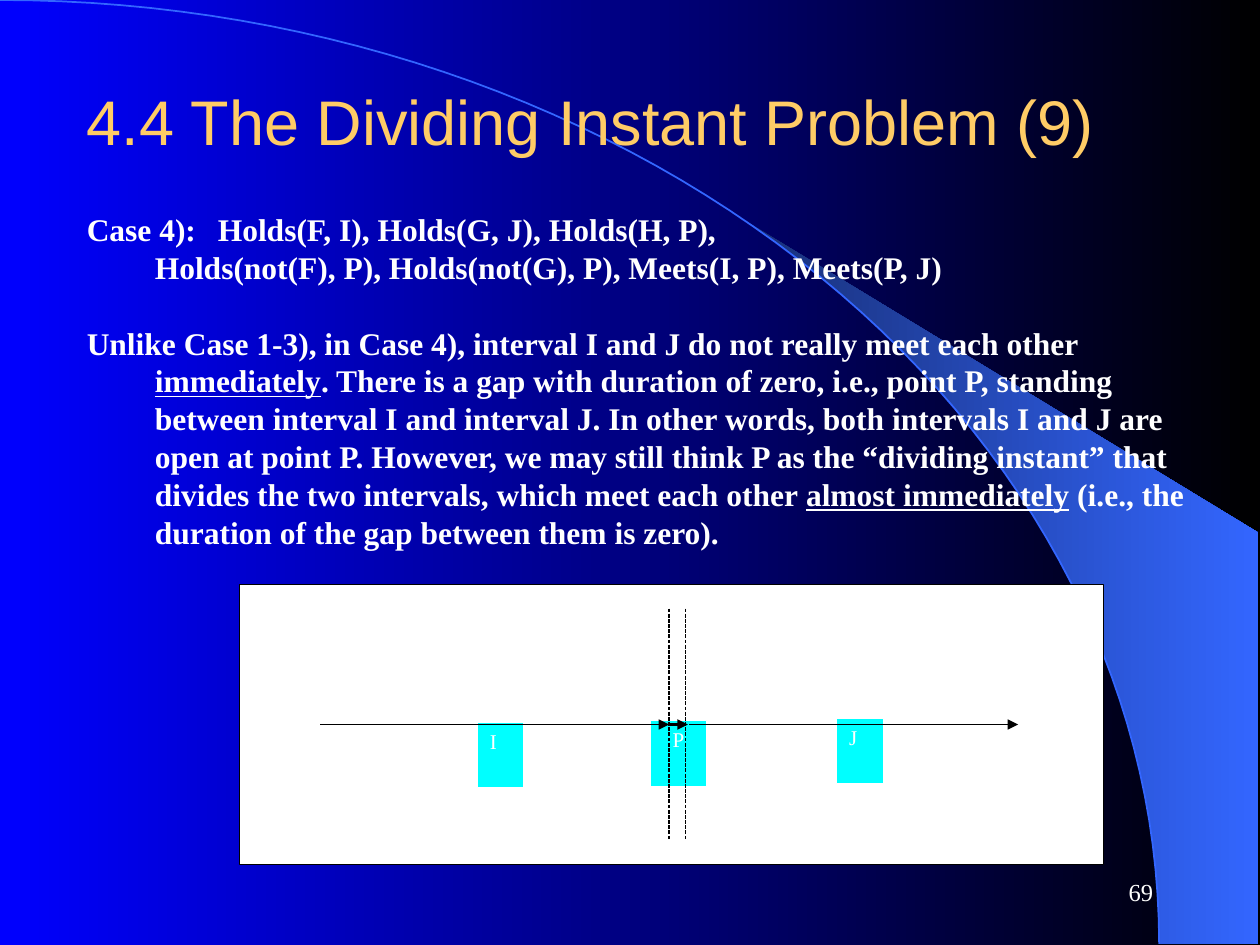
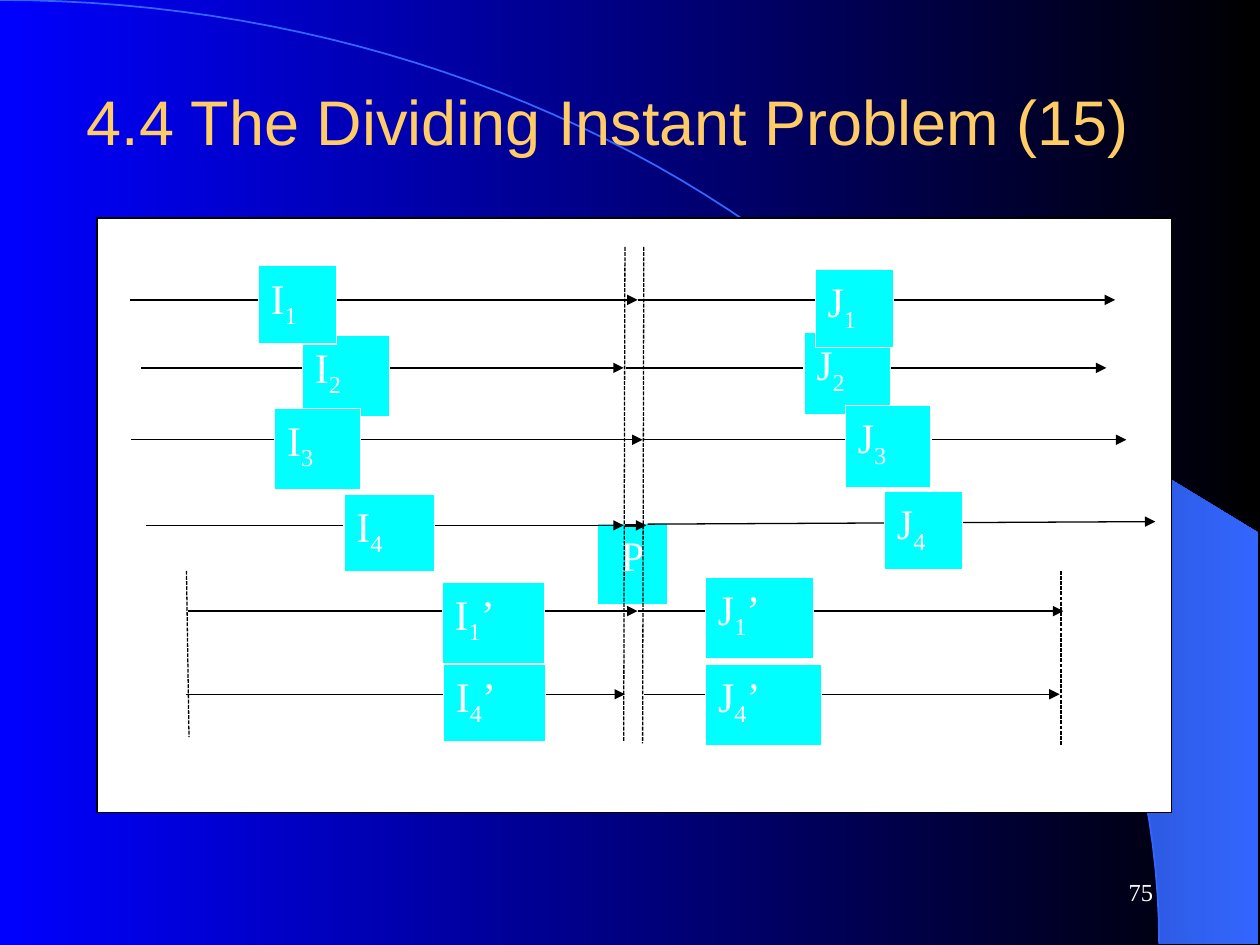
from math import asin, cos, pi, sin

from lxml.etree import SubElement
from pptx import Presentation
from pptx.dml.color import RGBColor
from pptx.enum.dml import MSO_LINE_DASH_STYLE as Dash
from pptx.enum.shapes import MSO_CONNECTOR as Link, MSO_SHAPE as Kind
from pptx.enum.text import MSO_ANCHOR as Anchor, PP_ALIGN as Align
from pptx.oxml.ns import qn
from pptx.util import Inches, Pt

WHITE, BLACK, CYAN, GOLD = "FFFFFF", "000000", "00FFFF", "FFCC66"
BLUE, NAVY, SKY = "0000FF", "182F76", "3366FF"
SERIF, SANS = "Times New Roman", "Arial"
ARC_W, ARC_H = 9.2, 7.49


def color(code):
    """Turn a hex string into a colour."""
    return RGBColor.from_string(code)


def blend(fill, start, end):
    """Give a fill a gradient from left to right."""
    fill.gradient()
    fill.gradient_angle = 0
    for stop, code, place in zip(fill.gradient_stops, (start, end), (0, 1)):
        stop.color.rgb = color(code)
        stop.position = place


def write(para, parts, size=18, font=SERIF, ink=WHITE, bold=False,
          align=Align.LEFT, left=0, first=0, tabs=(), before=0, pitch=None):
    """Write a string, or (text, mark) pairs, into a paragraph."""
    para.alignment = align
    para.space_before = Pt(before)
    if pitch:
        para.line_spacing = Pt(pitch)
    props = para._p.get_or_add_pPr()
    props.set("marL", str(Inches(left)))
    props.set("indent", str(Inches(first)))
    if tabs:
        stops = SubElement(props, qn("a:tabLst"))
        for tab in tabs:
            SubElement(stops, qn("a:tab"), pos=str(Inches(tab)), algn="l")
    for words, mark in [(parts, "")] if isinstance(parts, str) else parts:
        run = para.add_run()
        run.text = words
        run.font.size = Pt(size)
        run.font.name = font
        run.font.bold = bold
        run.font.color.rgb = color(ink)
        if mark == "under":
            run.font.underline = True
        elif mark == "sub":
            run._r.get_or_add_rPr().set("baseline", "-25000")


def place(shape, box):
    """Set the place and size of a shape."""
    shape.left, shape.top, shape.width, shape.height = map(Inches, box)


def frame(slide, box, anchor=Anchor.TOP):
    """Add a text box that wraps and return its text frame."""
    body = slide.shapes.add_textbox(*map(Inches, box)).text_frame
    body.word_wrap = True
    body.vertical_anchor = anchor
    return body


def block(slide, box, fill=CYAN, edge=WHITE):
    """Add a plain box."""
    shape = slide.shapes.add_shape(Kind.RECTANGLE, *map(Inches, box))
    shape.shadow.inherit = False
    shape.fill.solid()
    shape.fill.fore_color.rgb = color(fill)
    shape.line.color.rgb = color(edge)
    shape.line.width = Pt(0.75)
    return shape


def label(slide, parts, box, size, align=Align.LEFT):
    """Add a cyan box that names an interval or a point."""
    body = block(slide, box).text_frame
    body.word_wrap = True
    body.vertical_anchor = Anchor.TOP
    write(body.paragraphs[0], parts, size=size, align=align)


def span(slide, name, box):
    """Add a label with a subscript, such as I1 or J4’."""
    parts = [(name[0], ""), (name[1], "sub")]
    if name[2:]:
        parts.append((name[2:], ""))
    label(slide, parts, box, 24)


def line(slide, x1, y1, x2, y2, width=0.75):
    """Add a black line."""
    link = slide.shapes.add_connector(Link.STRAIGHT, *map(Inches, (x1, y1, x2, y2)))
    link.line.color.rgb = color(BLACK)
    link.line.width = Pt(width)
    SubElement(link.element.spPr, qn("a:effectLst"))
    return link


def arrow(slide, *ends, width=0.75):
    """Add a line with a head at its end."""
    link = line(slide, *ends, width=width)
    SubElement(link.line._get_or_add_ln(), qn("a:tailEnd"), type="triangle")


def guide(slide, *ends):
    """Add a thin dashed line."""
    line(slide, *ends).line.dash_style = Dash.SQUARE_DOT


def outline(slide, points, close):
    """Draw a freeform through points."""
    (x, y), *rest = [(Inches(a), Inches(b)) for a, b in points]
    pen = slide.shapes.build_freeform(x, y)
    pen.add_line_segments(rest, close=close)
    shape = pen.convert_to_shape()
    shape.shadow.inherit = False
    return shape


def curve(start, steps=60):
    """List points of the quarter ellipse from an angle on."""
    turns = [start + (pi / 2 - start) * n / steps for n in range(steps + 1)]
    return [(ARC_W * sin(t), ARC_H * (1 - cos(t))) for t in turns]


def backdrop(deck, layout, slide):
    """Put the gradient, wedge and arc behind all slides."""
    blend(deck.slide_master.background.fill, BLUE, BLACK)
    wedge = outline(slide, curve(asin(5.89 / ARC_W)) + [(9.99, 7.49), (9.99, 4.23)], True)
    blend(wedge.fill, NAVY, SKY)
    wedge.line.fill.background()
    arc = outline(slide, curve(0), False)
    arc.fill.background()
    arc.line.color.rgb = color(SKY)
    arc.line.width = Pt(1)
    for key, shape in enumerate((wedge, arc), 20):
        shape.element.nvSpPr.cNvPr.set("id", str(key))
        layout.shapes.element.append(shape.element)


def start(slide, part, page):
    """Fill in the title and the page number."""
    title = slide.shapes.title
    place(title, (0.59, 0.6, 8.9, 0.71))
    title.text_frame.vertical_anchor = Anchor.MIDDLE
    write(title.text_frame.paragraphs[0], f"4.4 The Dividing Instant Problem ({part})",
          size=36, font=SANS, ink=GOLD)
    foot = frame(slide, (7.17, 6.83, 2.08, 0.5), Anchor.MIDDLE)
    write(foot.paragraphs[0], str(page), size=14, align=Align.RIGHT)


def case(slide):
    """Show case 4 with its text and its time line."""
    start(slide, 9, 69)
    body = frame(slide, (0.59, 1.62, 8.98, 2.8))
    style = dict(bold=True, left=0.54, pitch=21.6)
    write(body.paragraphs[0], "Case 4):\tHolds(F, I), Holds(G, J), Holds(H, P),",
          first=-0.54, tabs=(0, 1), **style)
    write(body.add_paragraph(),
          "Holds(not(F), P), Holds(not(G), P), Meets(I, P), Meets(P, J)", **style)
    write(body.add_paragraph(), [
        ("Unlike Case 1-3), in Case 4), interval I and J do not really meet each other ", ""),
        ("immediately", "under"),
        (". There is a gap with duration of zero, i.e., point P, standing between "
         "interval I and interval J. In other words, both intervals I and J are open "
         "at point P. However, we may still think P as the “dividing instant” that "
         "divides the two intervals, which meet each other ", ""),
        ("almost immediately", "under"),
        (" (i.e., the duration of the gap between them is zero).", ""),
    ], first=-0.54, before=21.6, **style)

    block(slide, (1.9, 4.64, 6.86, 2.22), WHITE, BLACK)
    label(slide, "I", (3.79, 5.73, 0.37, 0.52), 12)
    label(slide, "J", (6.64, 5.7, 0.37, 0.52), 12)
    label(slide, "P", (5.16, 5.72, 0.45, 0.52), 12, Align.CENTER)
    for x in (5.31, 5.44):
        guide(slide, x, 4.83, x, 6.66)
    for x1, x2, width in ((2.54, 5.31, 0.75), (5.47, 8.08, 0.75), (5.32, 5.46, 2)):
        arrow(slide, x1, 5.75, x2, 5.75, width=width)


def chart(slide):
    """Show the intervals that meet at the dividing instant."""
    start(slide, 15, 75)
    block(slide, (0.77, 1.73, 8.53, 4.72), WHITE, BLACK)
    for ends in ((1.48, 4.53, 1.5, 5.85), (8.42, 4.53, 8.42, 5.92)):
        guide(slide, *ends)
    rows = [
        (2.38, 1.03, 5.06, 5.06, 8.85),
        (2.92, 1.12, 4.95, 4.97, 8.78),
        (3.49, 1.04, 5.1, 5.11, 8.94),
        (4.85, 1.49, 5.06, 5.06, 8.44),
        (5.51, 1.48, 4.96, 5.11, 8.41),
    ]
    for y, x1, x2, x3, x4 in rows:
        arrow(slide, x1, y, x2, y)
        arrow(slide, x3, y, x4, y)
    spans = [
        ("I4’", 3.52, 5.27, 0.81, 0.62), ("J4’", 5.6, 5.27, 0.92, 0.65),
        ("I1’", 3.51, 4.62, 0.81, 0.65), ("J1’", 5.6, 4.58, 0.86, 0.65),
        ("I2", 2.4, 2.66, 0.69, 0.65), ("J2", 6.38, 2.64, 0.69, 0.65),
        ("I3", 2.18, 3.24, 0.68, 0.65), ("J3", 6.71, 3.22, 0.68, 0.65),
        ("I1", 2.05, 2.11, 0.62, 0.62), ("J1", 6.47, 2.14, 0.62, 0.62),
    ]
    for name, *box in spans:
        span(slide, name, box)
    label(slide, "P", (4.74, 4.15, 0.56, 0.65), 24, Align.CENTER)
    arrow(slide, 1.16, 4.17, 4.95, 4.17)
    arrow(slide, 5.14, 4.16, 9.17, 4.14)
    guide(slide, 5.11, 1.96, 5.1, 5.9)
    guide(slide, 4.96, 1.96, 4.95, 5.89)
    arrow(slide, 4.96, 4.17, 5.13, 4.17, width=2)
    span(slide, "I4", (2.73, 3.92, 0.72, 0.62))
    span(slide, "J4", (7.02, 3.9, 0.62, 0.62))


def main():
    """Build both slides and save them."""
    deck = Presentation()
    deck.slide_width, deck.slide_height = Inches(10), Inches(7.5)
    layout = deck.slide_layouts[5]
    first, second = [deck.slides.add_slide(layout) for _ in range(2)]
    backdrop(deck, layout, first)
    case(first)
    chart(second)
    deck.save("out.pptx")


if __name__ == "__main__":
    main()
